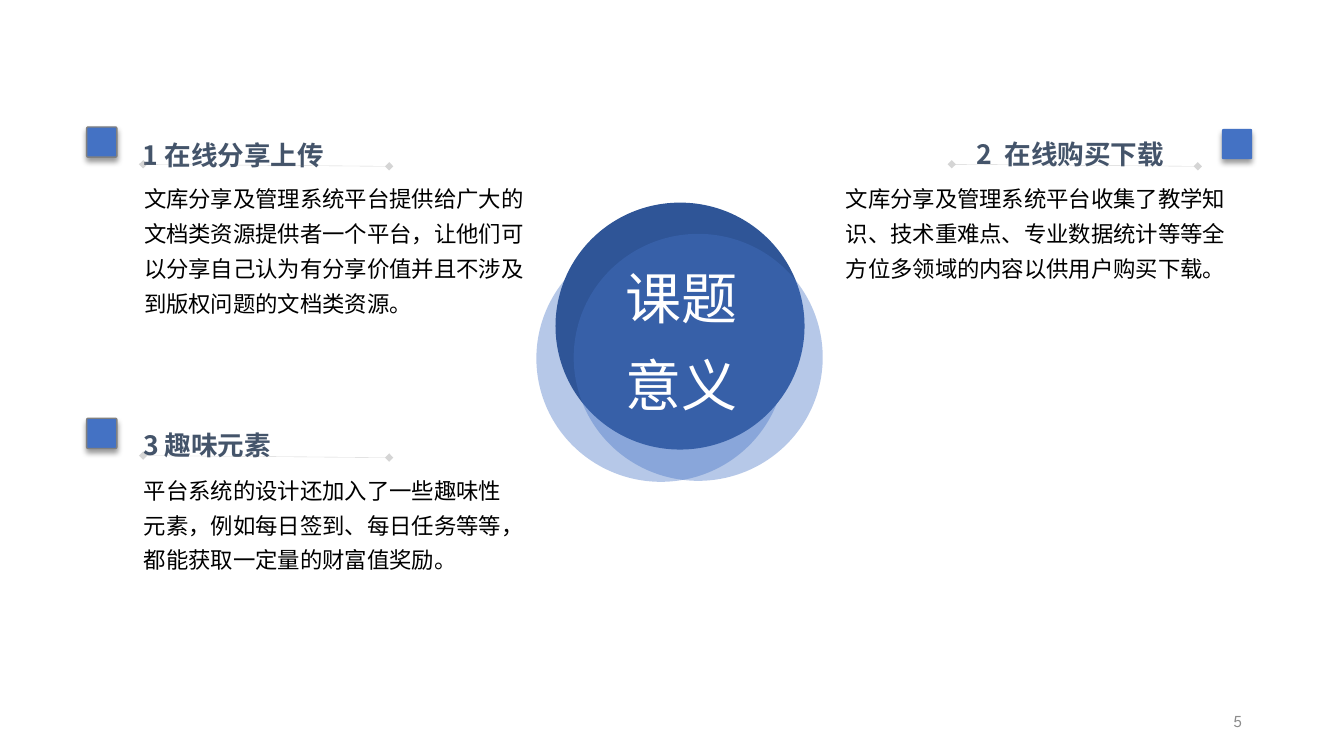
"""Build the slide on the significance of the project: three points around a circle."""
from lxml import etree
from pptx import Presentation
from pptx.dml.color import RGBColor
from pptx.enum.shapes import MSO_CONNECTOR, MSO_SHAPE
from pptx.enum.text import MSO_ANCHOR, PP_ALIGN
from pptx.oxml import parse_xml
from pptx.oxml.ns import nsdecls, qn
from pptx.util import Inches, Pt

OVAL, SQUARE = MSO_SHAPE.OVAL, MSO_SHAPE.ROUNDED_RECTANGLE
STRAIGHT = MSO_CONNECTOR.STRAIGHT
LEFT, CENTER, RIGHT = PP_ALIGN.LEFT, PP_ALIGN.CENTER, PP_ALIGN.RIGHT
TOP, MIDDLE = MSO_ANCHOR.TOP, MSO_ANCHOR.MIDDLE
BLUE = RGBColor(0x44, 0x72, 0xC4)
NAVY = RGBColor(0x2F, 0x55, 0x97)
SLATE = RGBColor(0x44, 0x54, 0x6A)
GRAY = RGBColor(0x80, 0x80, 0x80)
LIGHT_GRAY = RGBColor(0x8C, 0x8C, 0x8C)
BLACK = RGBColor(0, 0, 0)
WHITE = RGBColor(0xFF, 0xFF, 0xFF)
CJK, SPARTAN = "Noto Sans CJK SC", "League Spartan"

TITLE = {"size": Pt(40), "name": CJK, "bold": False}
HEADING = {"size": Pt(19), "name": CJK, "bold": True}
BODY = {"size": Pt(16), "name": SPARTAN}
NUMBER = {"size": Pt(12), "name": SPARTAN}
SHADOW = (
    f'<a:effectLst {nsdecls("a")}><a:outerShdw blurRad="50800" dist="38100" dir="5400000" '
    'algn="t" rotWithShape="0"><a:srgbClr val="000000"><a:alpha val="40000"/></a:srgbClr>'
    "</a:outerShdw></a:effectLst>"
)


def write(sp, text, font, color, align=LEFT, spacing=1.3, anchor=TOP):
    tf = sp.text_frame
    tf.word_wrap = True
    tf.vertical_anchor = anchor
    p = tf.paragraphs[0]
    p.alignment, p.line_spacing = align, spacing
    r = p.add_run()
    r.text = text
    for key, value in font.items():
        setattr(r.font, key, value)
    r.font.color.rgb = color
    etree.SubElement(r.font._element, qn("a:ea"), typeface=CJK)


def set_alpha(sp, percent):
    color = next(sp._element.spPr.iter(qn("a:srgbClr")))
    etree.SubElement(color, qn("a:alpha"), val=str(percent * 1000))


prs = Presentation()
prs.slide_width, prs.slide_height = Inches(13.33), Inches(7.5)
s = prs.slides.add_slide(prs.slide_layouts[5])

for x, y, color, alpha in [(5.32, 2.33, BLUE, 39), (5.51, 2.01, NAVY, 100), (5.69, 2.32, BLUE, 39)]:
    circle = s.shapes.add_shape(OVAL, Inches(x), Inches(y), Inches(2.47), Inches(2.45))
    circle.shadow.inherit = False
    circle.fill.solid()
    circle.fill.fore_color.rgb = color
    circle.line.fill.background()
    set_alpha(circle, alpha)

title = s.shapes.title
title.left, title.top, title.width, title.height = map(Inches, (5.92, 2.36, 1.67, 1.77))
write(title, "课题意义", TITLE, WHITE, CENTER)
s.shapes.element.append(title.element)

points = [
    {"square": (0.86, 1.26), "outline": True, "heading": (1.32, 1.23, 2.93, 0.52),
     "rule": (1.42, 1.63), "body": (1.33, 1.71, 3.99, 1.52), "name": "1 在线分享上传",
     "text": "文库分享及管理系统平台提供给广大的文档类资源提供者一个平台，"
             "让他们可以分享自己认为有分享价值并且不涉及到版权问题的文档类资源。"},
    {"square": (12.12, 1.28), "outline": False, "heading": (9.59, 1.22, 2.24, 0.48),
     "rule": (9.44, 1.63), "body": (8.29, 1.71, 4.13, 1.15), "name": "2  在线购买下载",
     "text": "文库分享及管理系统平台收集了教学知识、技术重难点、"
             "专业数据统计等等全方位多领域的内容以供用户购买下载。"},
    {"square": (0.86, 4.15), "outline": True, "heading": (1.32, 4.11, 2.82, 0.48),
     "rule": (1.42, 4.52), "body": (1.33, 4.6, 3.86, 1.15), "name": "3 趣味元素",
     "text": "平台系统的设计还加入了一些趣味性元素，例如每日签到、每日任务等等，"
             "都能获取一定量的财富值奖励。"},
]
for point in points:
    x, y = point["square"]
    square = s.shapes.add_shape(SQUARE, Inches(x), Inches(y), Inches(0.3), Inches(0.3))
    square.adjustments[0] = 0.05
    square.fill.solid()
    square.fill.fore_color.rgb = BLUE
    if point["outline"]:
        square.line.color.rgb = GRAY
        square.line.width = Pt(1)
    else:
        square.line.fill.background()
    square._element.spPr.append(parse_xml(SHADOW))

    heading = s.shapes.add_textbox(*map(Inches, point["heading"]))
    write(heading, point["name"], HEADING, SLATE)

    x, y = point["rule"]
    rule = s.shapes.add_connector(STRAIGHT, Inches(x), Inches(y), Inches(x + 2.44), Inches(y + 0.02))
    rule.line.color.rgb = GRAY
    rule.line.width = Pt(0.25)
    set_alpha(rule, 33)
    for end in ("a:headEnd", "a:tailEnd"):
        etree.SubElement(rule.line._ln, qn(end), type="diamond")
    etree.SubElement(rule._element.spPr, qn("a:effectLst"))

    body = s.shapes.add_textbox(*map(Inches, point["body"]))
    write(body, point["text"], BODY, BLACK)

number = s.shapes.add_textbox(Inches(9.42), Inches(6.95), Inches(3), Inches(0.4))
write(number, "5", NUMBER, LIGHT_GRAY, RIGHT, 1.0, MIDDLE)

prs.save("out.pptx")
